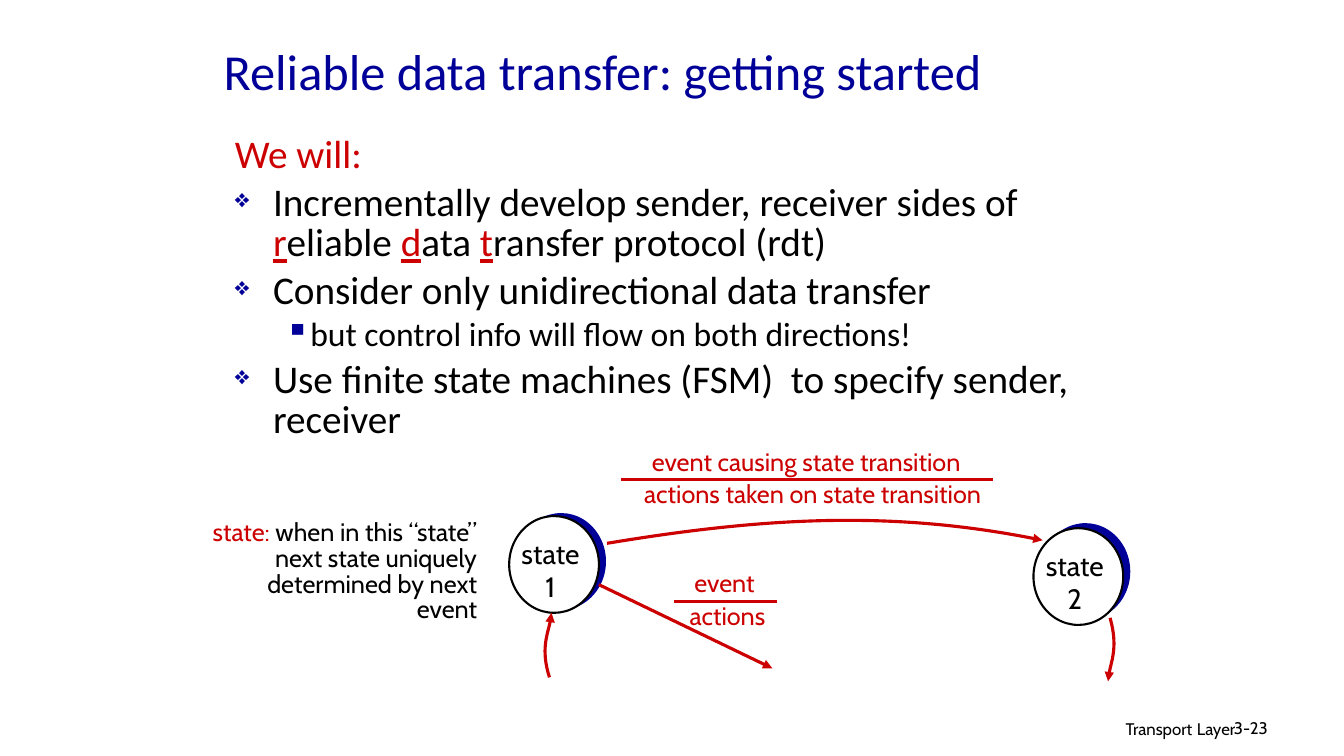
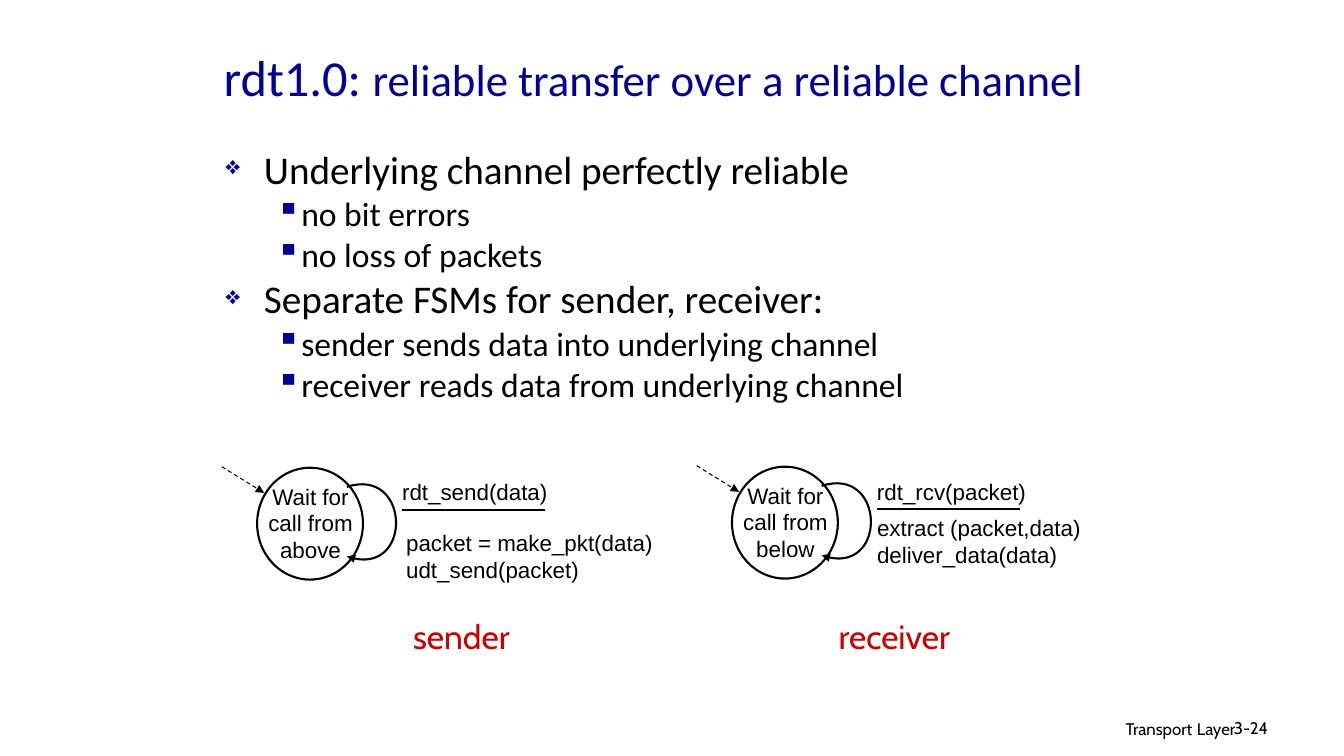
from lxml import etree
from pptx import Presentation
from pptx.dml.color import RGBColor
from pptx.enum.dml import MSO_LINE
from pptx.enum.shapes import MSO_CONNECTOR, MSO_SHAPE
from pptx.enum.text import MSO_ANCHOR, PP_ALIGN
from pptx.oxml.ns import qn
from pptx.util import Pt

PX = 9144  # 100 px to the inch
BLUE, RED, BLACK, WHITE = "000099", "CC0000", "000000", "FFFFFF"
BODY, NOTE, CODE = "Calibri", "Cabin", "Arial"
rgb = RGBColor.from_string


def add_text(s, box, paras, size, font, color=BLACK, align=PP_ALIGN.LEFT, wrap=True):
    """A paragraph is a string or a list of runs (text, size, color, underline)."""
    tf = s.shapes.add_textbox(*[v * PX for v in box]).text_frame
    tf.word_wrap = wrap
    for i, para in enumerate(paras):
        p = tf.paragraphs[0] if i == 0 else tf.add_paragraph()
        p.alignment = align
        runs = [(para, size, color, False)] if isinstance(para, str) else para
        for words, run_size, run_color, underline in runs:
            r = p.add_run()
            r.text = words
            r.font.name, r.font.size = font, Pt(run_size)
            r.font.color.rgb = rgb(run_color)
            if underline:
                r.font.underline = True
    return tf


def add_stroke(s, pts, color, width, arrow=True, dash=False):
    """Two points give a straight line, four points a Bezier curve."""
    pts = [(x * PX, y * PX) for x, y in pts]
    if len(pts) == 2:
        sp = s.shapes.add_connector(MSO_CONNECTOR.STRAIGHT, *pts[0], *pts[1])
    else:
        fb = s.shapes.build_freeform(*pts[0])
        fb.add_line_segments(pts[1:], close=False)
        sp = fb.convert_to_shape()
        sp.fill.background()
        segments = list(sp.element.iter(qn("a:lnTo")))
        curve = etree.SubElement(segments[0].getparent(), qn("a:cubicBezTo"))
        for segment in segments:
            curve.append(segment[0])
            segment.getparent().remove(segment)
    sp.line.color.rgb = rgb(color)
    sp.line.width = Pt(width)
    if dash:
        sp.line.dash_style = MSO_LINE.DASH
    if arrow:
        etree.SubElement(sp.line._get_or_add_ln(), qn("a:tailEnd"), type="triangle")
    etree.SubElement(sp.element.spPr, qn("a:effectLst"))


prs = Presentation()
prs.slide_width, prs.slide_height = 1333 * PX, 750 * PX

# Titles and body text; each body entry is (level, runs), level None has no bullet
SIZES = {None: 28, 0: 28, 1: 24}
BULLETS = {0: ("❖", 65, 38, -38), 1: ("▪", 100, 75, -25)}
initials = []
for initial, rest in (("r", "eliable "), ("d", "ata "), ("t", "ransfer protocol (rdt)")):
    initials += [(initial, 28, RED, True), (rest, 28, BLACK, False)]

contents = [
    ("3-23", (212, 21, 850, 97), (223, 131, 869, 367),
     [("Reliable data transfer: getting started", 36, BLUE, False)],
     [(None, [("We will:", 28, RED, False)]),
      (0, [("Incrementally develop sender, receiver sides of ", 28, BLACK, False)] + initials),
      (0, "Consider only unidirectional data transfer"),
      (1, "but control info will flow on both directions!"),
      (0, "Use finite state machines (FSM)  to specify sender, receiver")]),
    ("3-24", (212, 21, 875, 110), (214, 146, 864, 330),
     [("rdt1.0: ", 36, BLUE, False),
      ("reliable transfer over a reliable channel", 32, BLUE, False)],
     [(0, "Underlying channel perfectly reliable"),
      (1, "no bit errors"),
      (1, "no loss of packets"),
      (0, "Separate FSMs for sender, receiver:"),
      (1, "sender sends data into underlying channel"),
      (1, "receiver reads data from underlying channel")]),
]

for number, title_box, body_box, title, body in contents:
    s = prs.slides.add_slide(prs.slide_layouts[6])

    # Footer
    footer = [("Transport", 12, BLACK, False), (" ", 14, BLACK, False), ("Layer", 12, BLACK, False)]
    add_text(s, (813, 705, 422, 31), [footer], 12, NOTE, align=PP_ALIGN.RIGHT)
    add_text(s, (1214, 707, 99, 30), [number], 12, NOTE)

    # Title
    tf = add_text(s, title_box, [title], 36, BODY)
    tf.vertical_anchor = MSO_ANCHOR.MIDDLE

    # Bulleted body
    paras = [[(t, SIZES[level], BLACK, False)] if isinstance(t, str) else t for level, t in body]
    tf = add_text(s, body_box, paras, 28, BODY)
    for p, (level, _) in zip(tf.paragraphs, body):
        p.line_spacing = 0.85
        p.space_before = Pt(SIZES[level] * 0.2)
        if level is None:
            continue
        char, percent, margin, indent = BULLETS[level]
        pPr = p._p.get_or_add_pPr()
        pPr.set("lvl", str(level))
        pPr.set("marL", str(margin * PX))
        pPr.set("indent", str(indent * PX))
        etree.SubElement(etree.SubElement(pPr, qn("a:buClr")), qn("a:srgbClr"), val=BLUE)
        etree.SubElement(pPr, qn("a:buSzPct"), val=str(percent * 1000))
        etree.SubElement(pPr, qn("a:buChar"), char=char)

# Slide 1: two states, each with a blue disc behind
s = prs.slides[0]
for name, x, y, lift in (("1", 505, 512, 3), ("2", 1025, 524, 5)):
    for left, top, fill in ((x + 7, y - lift, BLUE), (x, y, WHITE)):
        sp = s.shapes.add_shape(MSO_SHAPE.OVAL, left * PX, top * PX, 89 * PX, 96 * PX)
        sp.shadow.inherit = False
        sp.fill.solid()
        sp.fill.fore_color.rgb = rgb(fill)
        sp.line.fill.background()
    sp.line.color.rgb = rgb(BLACK)
    sp.line.width = Pt(1.5)
    add_text(s, (x + 1, y + 15, 80, 77), ["state", name], 20, NOTE,
             align=PP_ALIGN.CENTER, wrap=False)

# Transition arrows
for pts in (
    [(602, 539), (764, 512), (893, 507), (1034, 536)],
    [(545, 672), (536, 644), (547, 618), (547, 608)],
    [(1101, 613), (1109, 641), (1099, 666), (1099, 676)],
    [(594, 580), (766, 663)],
):
    add_stroke(s, pts, RED, 2.25)

# Event over action labels
for event, event_box, action, action_box, x1, x2, y in (
    ("event causing state transition", (627, 438, 345, 40),
     "actions taken on state transition", (619, 470, 374, 40), 616, 985, 476),
    ("event", (678, 558, 81, 40), "actions", (673, 591, 97, 40), 668, 771, 597),
):
    for words, box in ((event, event_box), (action, action_box)):
        add_text(s, box, [words], 18, NOTE, RED, PP_ALIGN.CENTER, wrap=False)
    add_stroke(s, [(x1, y), (x2, y)], RED, 2.25, arrow=False)

# Definition of a state
definition = [("state:", 18, RED, False),
              (" when in this “state” next state uniquely determined by next event", 18, BLACK, False)]
tf = add_text(s, (180, 512, 303, 135), [definition], 18, NOTE, align=PP_ALIGN.RIGHT)
p = tf.paragraphs[0]
p.line_spacing, p.space_before = 0.85, Pt(3.6)
p._p.get_or_add_pPr().set("marL", str(38 * PX))
p._p.get_or_add_pPr().set("indent", str(-38 * PX))

# Slide 2: sender and receiver machines
s = prs.slides[1]
for x, y, state, event, actions, action_box, role, role_box in (
    (255, 464, "above", "rdt_send(data)", ["packet = make_pkt(data)", "udt_send(packet)"],
     (393, 520, 293, 65), "sender", (398, 606, 119, 50)),
    (726, 463, "below", "rdt_rcv(packet)", ["extract (packet,data)", "deliver_data(data)"],
     (860, 505, 272, 47), "receiver", (819, 606, 136, 50)),
):
    sp = s.shapes.add_shape(MSO_SHAPE.OVAL, x * PX, y * PX, 105 * PX, 111 * PX)
    sp.shadow.inherit = False
    sp.fill.solid()
    sp.fill.fore_color.rgb = rgb(WHITE)
    sp.line.color.rgb = rgb(BLACK)
    sp.line.width = Pt(1.5)
    add_text(s, (x - 7, y + 10, 120, 100), [f"Wait for call from {state}"], 16, CODE,
             align=PP_ALIGN.CENTER)
    loop = [(x + 89, y + 19), (x + 151, y - 1), (x + 155, y + 111), (x + 89, y + 88)]
    add_stroke(s, loop, BLACK, 1.5)
    add_stroke(s, [(x - 35, y - 1), (x + 7, y + 25)], BLACK, 0.75, dash=True)
    add_text(s, (x + 134, 469, 247, 47), [event], 16, CODE)
    add_stroke(s, [(x + 144, y + 42), (x + 286, y + 42)], BLACK, 1.5, arrow=False)
    add_text(s, action_box, actions, 16, CODE)
    add_text(s, role_box, [role], 24, NOTE, RED, PP_ALIGN.CENTER, wrap=False)

prs.save("out.pptx")
